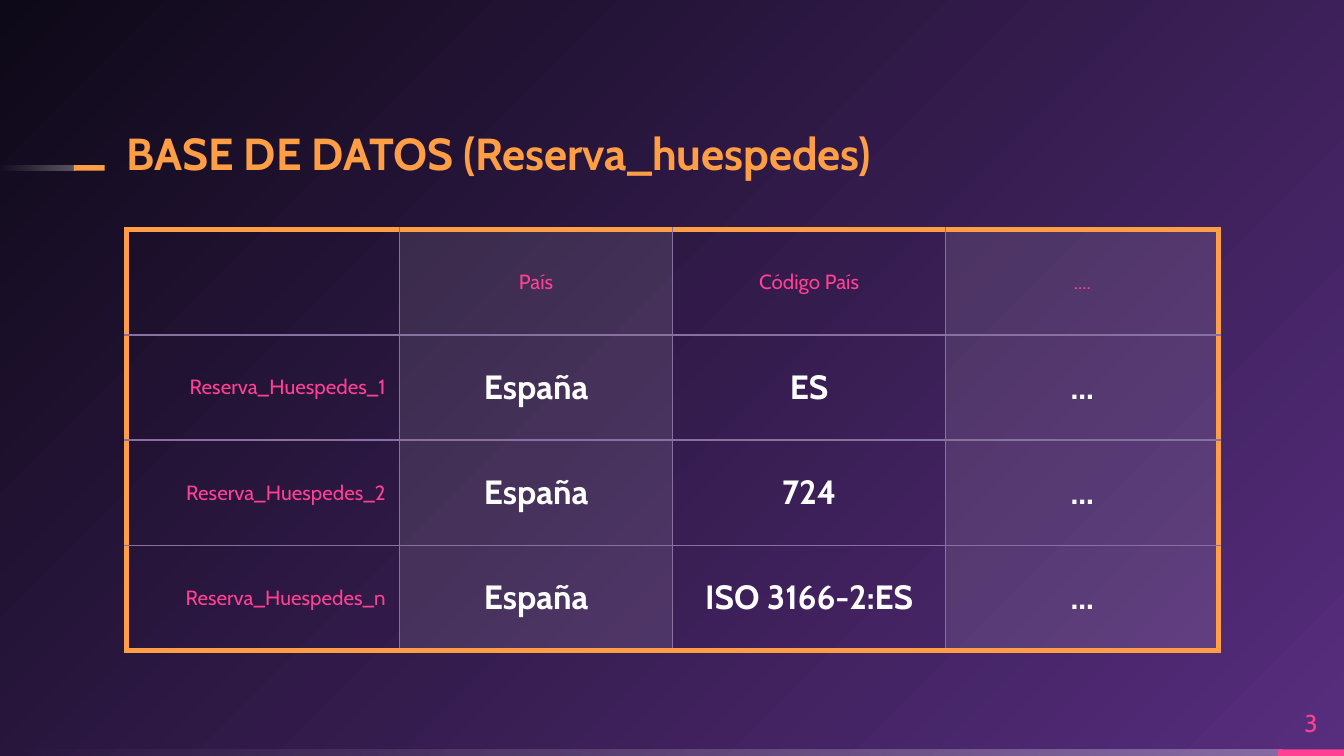
from lxml import etree
from pptx import Presentation
from pptx import util as u
from pptx.dml.color import RGBColor
from pptx.enum import shapes, text
from pptx.oxml import ns

WIDTH = 10
HEIGHT = WIDTH * 9 / 16
FONT = "Cabin"
ORANGE, PINK, WHITE, MAUVE = "FF9E44", "FF4093", "FFFFFF", "8870A0"
DARK, PURPLE = "0E0918", "572D7E"

# Main lines of the layout, in inches
LEFT, TABLE_WIDTH = 0.94, 8.13
CORNER = 9.51
BAR = 0.05
FOOT = HEIGHT - BAR
DASH_TOP = 1.23

HEADINGS = ["", "País", "Código País", "...."]
RECORDS = [
    ["Reserva_Huespedes_1", "España", "ES", "..."],
    ["Reserva_Huespedes_2", "España", "724", "..."],
    ["Reserva_Huespedes_n", "España", "ISO 3166-2:ES", "..."],
]


def rgb(code):
    return RGBColor.from_string(code)


def inches(*lengths):
    return [u.Inches(length) for length in lengths]


def add_node(parent, tag, **attributes):
    node = etree.SubElement(parent, ns.qn(tag))
    for name, value in attributes.items():
        node.set(name, str(value))
    return node


def add_color(parent, code, opacity=100):
    color = add_node(parent, "a:srgbClr", val=code)
    if opacity < 100:
        add_node(color, "a:alpha", val=opacity * 1000)


def set_gradient(fill, holder, stops, angle):
    """Fill with (colour, opacity) stops; the angle runs clockwise."""
    fill.solid()
    solid = next(holder.iter(ns.qn("a:solidFill")))
    gradient = etree.Element(ns.qn("a:gradFill"), rotWithShape="1")
    stop_list = add_node(gradient, "a:gsLst")
    for index, (code, opacity) in enumerate(stops):
        position = 100000 * index // (len(stops) - 1)
        add_color(add_node(stop_list, "a:gs", pos=position), code, opacity)
    add_node(gradient, "a:lin", ang=angle * 60000, scaled=0)
    solid.getparent().replace(solid, gradient)


def add_bar(page, left, top, width, height, color=None):
    """A plain bar, or a white one fading to the left without a colour."""
    bar = page.shapes.add_shape(
        shapes.MSO_SHAPE.RECTANGLE, *inches(left, top, width, height))
    bar.shadow.inherit = False
    bar.line.fill.background()
    if color:
        bar.fill.solid()
        bar.fill.fore_color.rgb = rgb(color)
    else:
        set_gradient(bar.fill, bar.element.spPr, [(WHITE, 30), (WHITE, 0)], 180)


def write(para, words, size, color, bold=False, align=None):
    para.alignment = align
    span = para.add_run()
    span.text = words
    span.font.name = FONT
    span.font.size = u.Pt(size)
    span.font.bold = bold
    span.font.color.rgb = rgb(color)


def add_text(page, place, words, size, color, anchor, **style):
    box = page.shapes.add_textbox(*inches(*place))
    frame = box.text_frame
    frame.word_wrap = True
    frame.vertical_anchor = anchor
    frame.margin_left = frame.margin_right = 0
    frame.margin_top = frame.margin_bottom = 0
    write(frame.paragraphs[0], words, size, color, **style)
    return frame.paragraphs[0]


def set_borders(cell, outer_sides):
    properties = cell._tc.get_or_add_tcPr()
    for index, side in enumerate("LRTB"):
        color, width = (ORANGE, 3) if side in outer_sides else (MAUVE, 0.75)
        line = add_node(properties, f"a:ln{side}", w=u.Pt(width))
        add_color(add_node(line, "a:solidFill"), color)
        properties.insert(index, line)


def shade(cell, column):
    """Veil every second column in translucent white."""
    if column % 2 == 0:
        cell.fill.background()
        return
    cell.fill.solid()
    cell.fill.fore_color.rgb = rgb(WHITE)
    color = next(cell._tc.tcPr.iter(ns.qn("a:srgbClr")))
    add_node(color, "a:alpha", val=10000)


def add_records(page, rows):
    row_count, column_count = len(rows), len(rows[0])
    table = page.shapes.add_table(
        row_count, column_count,
        *inches(LEFT, 1.71, TABLE_WIDTH, 3.13)).table
    table.first_row = table.horz_banding = False
    for r, row in enumerate(rows):
        for c, words in enumerate(row):
            cell = table.cell(r, c)
            cell.vertical_anchor = text.MSO_ANCHOR.MIDDLE
            shade(cell, c)
            edges = {"L": c == 0, "R": c == column_count - 1,
                     "T": r == 0, "B": r == row_count - 1}
            set_borders(cell, [side for side, outer in edges.items() if outer])
            if not words:
                continue
            label = r == 0 or c == 0
            write(cell.text_frame.paragraphs[0], words,
                  11 if label else 18, PINK if label else WHITE,
                  bold=not label,
                  align=text.PP_ALIGN.CENTER if c else text.PP_ALIGN.RIGHT)


def main():
    deck = Presentation()
    deck.slide_width, deck.slide_height = inches(WIDTH, HEIGHT)
    page = deck.slides.add_slide(deck.slide_layouts[6])

    # Background
    set_gradient(page.background.fill, page.element,
                 [(DARK, 100), (PURPLE, 100)], 45)

    # Footer line and title dash
    add_bar(page, 0, FOOT, 9.54, BAR)
    add_bar(page, CORNER, FOOT, WIDTH - CORNER, BAR, PINK)
    add_bar(page, 0, DASH_TOP, 0.56, 0.04)
    add_bar(page, 0.55, DASH_TOP, 0.23, 0.04, ORANGE)

    # Title and page number
    title = add_text(page, (LEFT, 0.91, TABLE_WIDTH, 0.43),
                     "BASE DE DATOS (Reserva_huespedes)", 24, ORANGE,
                     text.MSO_ANCHOR.BOTTOM, bold=True)
    title.line_spacing = 0.9
    add_text(page, (CORNER, 5.19, WIDTH - CORNER, 0.38), "3", 13, PINK,
             text.MSO_ANCHOR.MIDDLE, align=text.PP_ALIGN.CENTER)

    # Table
    add_records(page, [HEADINGS] + RECORDS)

    deck.save("out.pptx")


if __name__ == "__main__":
    main()
